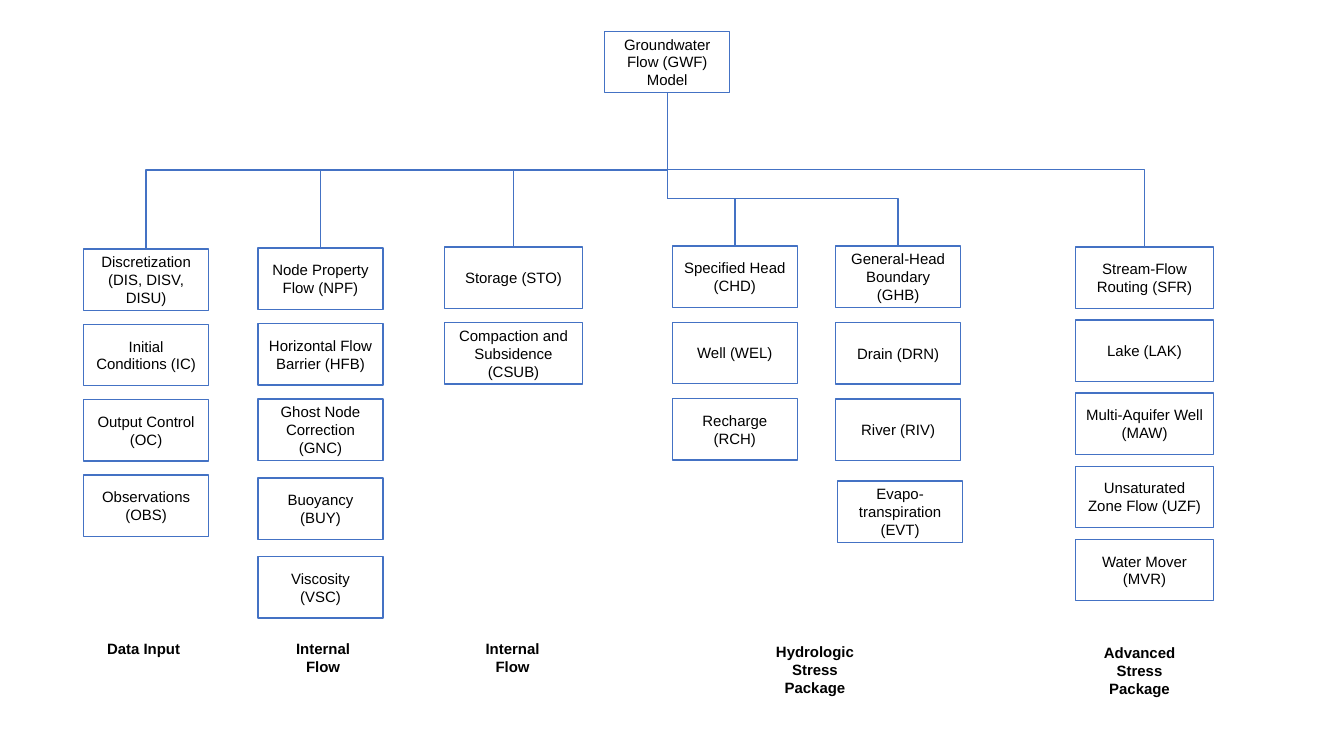
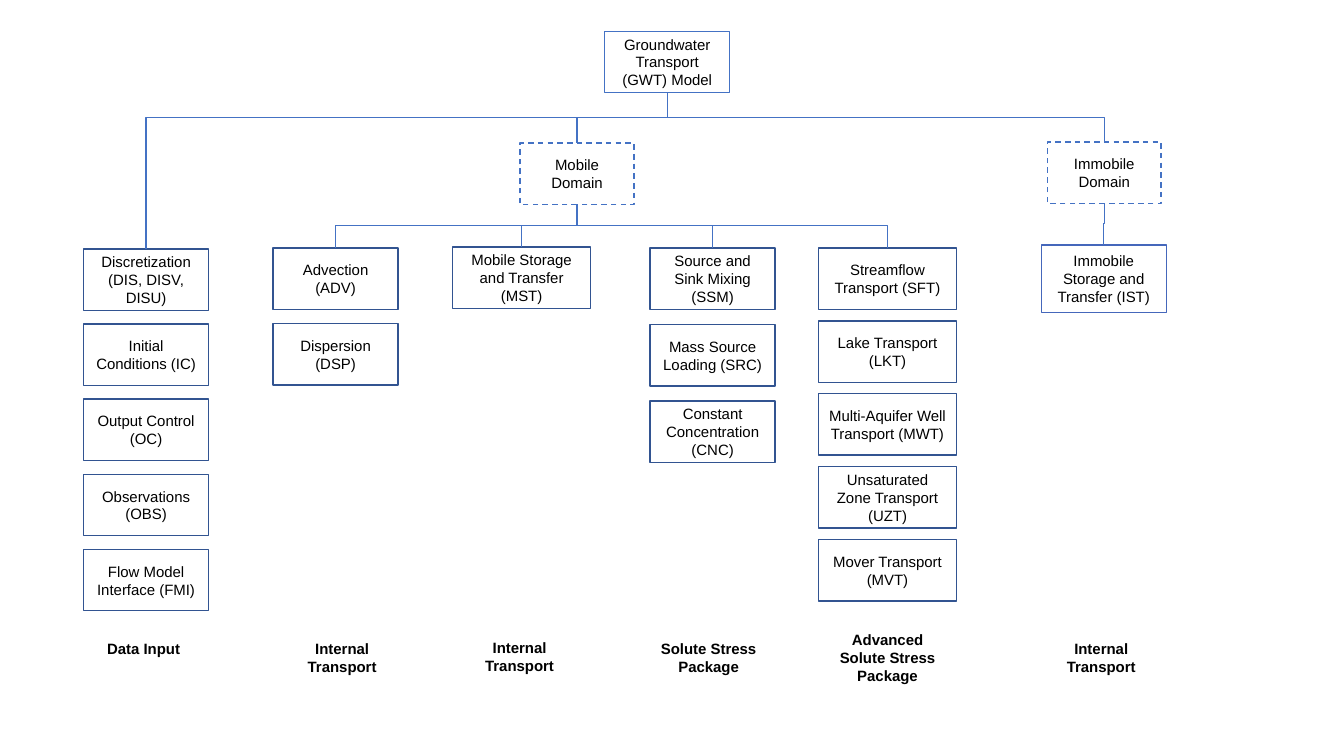
import pptx
import pptx.util
import pptx.dml.color
import pptx.enum.dml
import pptx.enum.shapes
import pptx.enum.text
import pptx.oxml.ns
import lxml.etree

UNIT = pptx.util.Inches(0.1)
SLIDE_COLS, SLIDE_ROWS = 133.33, 75
BOX_ROWS = 6.1
NARROW, WIDE, DOMAIN = 12.4, 13.7, 11.3

BLACK = pptx.dml.color.RGBColor(0x00, 0x00, 0x00)
BLUE = pptx.dml.color.RGBColor(0x44, 0x72, 0xC4)
NAVY = pptx.dml.color.RGBColor(0x32, 0x54, 0x91)
INDIGO = pptx.dml.color.RGBColor(0x45, 0x67, 0xBB)

DASH = pptx.enum.dml.MSO_LINE.DASH
BODY_FONT = {"name": "Arial", "size": pptx.util.Pt(10.7), "bold": False}
LABEL_FONT = {**BODY_FONT, "bold": True}
BOX_FRAME = {"word_wrap": True, "vertical_anchor": pptx.enum.text.MSO_ANCHOR.MIDDLE}
LABEL_FRAME = {"word_wrap": True, "vertical_anchor": pptx.enum.text.MSO_ANCHOR.TOP}
LINE = {"width": pptx.util.Pt(1)}

DATA_INPUT = [
    "Discretization (DIS, DISV, DISU)",
    "Initial Conditions (IC)",
    "Output Control (OC)",
    "Observations (OBS)",
]


def grid(*cells):
    return [int(n * UNIT) for n in cells]


def apply(target, values):
    for name, value in values.items():
        setattr(target, name, value)


def write(sp, text, frame, font):
    tf = sp.text_frame
    apply(tf, frame)
    tf.text = text
    for p in tf.paragraphs:
        p.alignment = pptx.enum.text.PP_ALIGN.CENTER
        apply(p.font, font)
        p.font.color.rgb = BLACK


def box(s, text, left, top, width=NARROW, height=BOX_ROWS, color=BLUE, dash=None):
    sp = s.shapes.add_shape(
        pptx.enum.shapes.MSO_SHAPE.RECTANGLE, *grid(left, top, width, height)
    )
    sp.shadow.inherit = False
    sp.fill.background()
    sp.line.color.rgb = color
    apply(sp.line, {**LINE, "dash_style": dash})
    write(sp, text, BOX_FRAME, BODY_FONT)
    return sp


def stack(s, left, top, pitch, names, width=NARROW, color=BLUE):
    boxes = [
        box(s, name, left, top + i * pitch, width, color=color)
        for i, name in enumerate(names)
    ]
    return boxes[0]


def label(s, text, left, top=63, width=10.7, height=4.6):
    sp = s.shapes.add_textbox(*grid(left, top, width, height))
    write(sp, text, LABEL_FRAME, LABEL_FONT)


def elbow(s, parent, child, bus_row):
    qn = pptx.oxml.ns.qn
    x1, y1 = parent.left + parent.width // 2, parent.top + parent.height
    x2, y2 = child.left + child.width // 2, child.top
    run, drop = abs(x2 - x1), y2 - y1
    c = s.shapes.add_connector(pptx.enum.shapes.MSO_CONNECTOR.ELBOW, x1, y1, x2, y2)
    c.begin_connect(parent, 2)
    c.end_connect(child, 0)
    apply(c, {
        "left": (x1 + x2 - drop) // 2,
        "top": (y1 + y2 - run) // 2,
        "width": drop,
        "height": run,
    })
    to_right = x2 > x1
    spPr = c._element.spPr
    xfrm = spPr.find(qn("a:xfrm"))
    xfrm.set("rot", str((270 if to_right else 90) * 60000))
    xfrm.set("flipH", "1" if to_right else "0")
    xfrm.set("flipV", "0")
    bend = round((bus_row * UNIT - y1) / drop * 100000)
    guides = spPr.find(qn("a:prstGeom")).find(qn("a:avLst"))
    lxml.etree.SubElement(guides, qn("a:gd"), name="adj1", fmla=f"val {bend}")
    c.line.color.rgb = BLUE
    apply(c.line, LINE)
    lxml.etree.SubElement(spPr, qn("a:effectLst"))


def branch(s, parent, children, bus_row):
    for child in children:
        elbow(s, parent, child, bus_row)


def root(s, text):
    return box(s, text, 60, 3.1)


def flow_slide(s):
    model = root(s, "Groundwater Flow (GWF) Model")
    data = stack(s, 8.3, 24.7, 7.47, DATA_INPUT)
    flow = stack(s, 25.6, 24.6, 7.5, [
        "Node Property Flow (NPF)",
        "Horizontal Flow Barrier (HFB)",
        "Ghost Node Correction (GNC)",
    ])
    stack(s, 25.6, 47.4, 7.8, ["Buoyancy (BUY)", "Viscosity\v(VSC)"])
    storage = stack(s, 44.1, 24.5, 7.5, [
        "Storage (STO)",
        "Compaction and Subsidence (CSUB)",
    ], WIDE)
    head = stack(s, 66.7, 24.4, 7.57, [
        "Specified Head (CHD)",
        "Well (WEL)",
        "Recharge (RCH)",
    ])
    boundary = stack(s, 82.9, 24.4, 7.6, [
        "General-Head Boundary (GHB)",
        "Drain (DRN)",
        "River (RIV)",
    ])
    box(s, "Evapo-transpiration (EVT)", 83.1, 47.7)
    stream = stack(s, 106.7, 24.5, 7.25, [
        "Stream-Flow Routing (SFR)",
        "Lake (LAK)",
        "Multi-Aquifer Well (MAW)",
        "Unsaturated Zone Flow (UZF)",
        "Water Mover\n(MVR)",
    ], WIDE)
    branch(s, model, [data, flow, storage, stream], 16.85)
    branch(s, model, [head, boundary], 19.7)
    label(s, "Data Input", 8.9, height=2.8)
    label(s, "Internal Flow", 26.7)
    label(s, "Internal Flow", 45.5)
    label(s, "Hydrologic Stress Package", 74.4, 63.3, 12.9, 6.4)
    label(s, "Advanced Stress Package", 106.6, 63.4, 12.9, 6.4)


def transport_slide(s):
    model = root(s, "Groundwater Transport (GWT) Model")
    mobile = box(s, "Mobile Domain", 51.6, 14.2, DOMAIN, dash=DASH)
    immobile = box(s, "Immobile Domain", 103.9, 14.1, DOMAIN, dash=DASH)
    data = stack(s, 8.3, 24.7, 7.45, DATA_INPUT + ["Flow Model Interface (FMI)"],
                 color=NAVY)
    advection = stack(s, 27.1, 24.6, 7.5, ["Advection (ADV)", "Dispersion (DSP)"],
                      color=NAVY)
    storage = box(s, "Mobile Storage and Transfer (MST)", 44.9, 24.5, WIDE, color=NAVY)
    mixing = stack(s, 64.5, 24.6, 7.6, [
        "Source and Sink Mixing (SSM)",
        "Mass Source Loading (SRC)",
        "Constant Concentration (CNC)",
    ], color=NAVY)
    stream = stack(s, 81.2, 24.6, 7.23, [
        "Streamflow Transport (SFT)",
        "Lake Transport (LKT)",
        "Multi-Aquifer Well Transport (MWT)",
        "Unsaturated Zone Transport (UZT)",
        "Mover Transport\n(MVT)",
    ], WIDE, NAVY)
    transfer = box(s, "Immobile Storage and Transfer (IST)", 103.3, 24.3,
                   height=6.7, color=INDIGO)
    branch(s, model, [data, mobile, immobile], 11.65)
    branch(s, mobile, [advection, storage, mixing, stream], 22.4)
    branch(s, immobile, [transfer], 22.2)
    label(s, "Data Input", 8.9, height=2.8)
    label(s, "Internal Transport", 28.6)
    label(s, "Internal Transport", 46.2, 62.9)
    label(s, "Solute Stress Package", 64.4, width=11.8, height=6.4)
    label(s, "Advanced Solute Stress Package", 81.6, 62.1, 12.9, 8.2)
    label(s, "Internal Transport", 103.9)


def main():
    prs = pptx.Presentation()
    prs.slide_width, prs.slide_height = grid(SLIDE_COLS, SLIDE_ROWS)
    for build in (flow_slide, transport_slide):
        build(prs.slides.add_slide(prs.slide_layouts[6]))
    prs.save("out.pptx")


if __name__ == "__main__":
    main()
